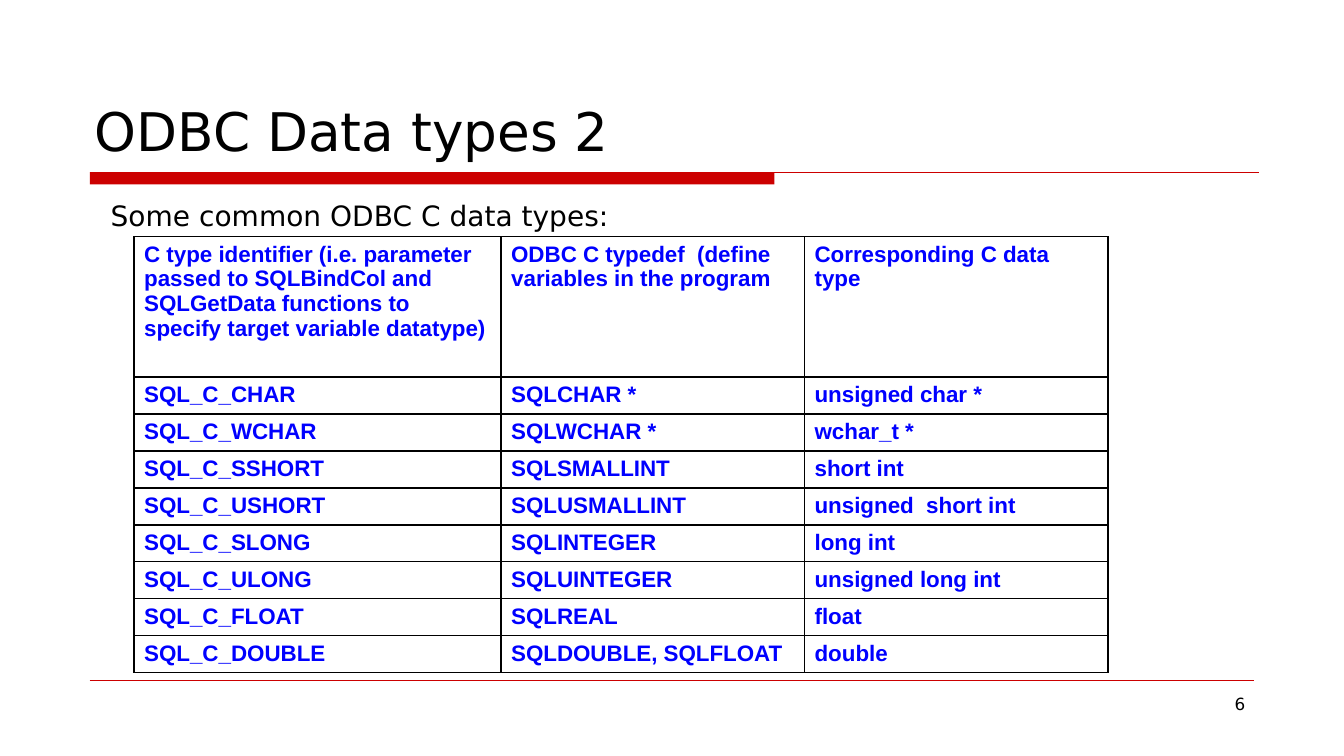
"""Build the slide on ODBC C data types."""
from lxml import etree
from pptx import Presentation
from pptx import util as u
from pptx.dml.color import RGBColor
from pptx.enum import shapes, text
from pptx.oxml import parse_xml
from pptx.oxml.ns import nsdecls, qn

COLORS = {"accent": "CC0000", "ink": "000000", "cell": "0000FF"}
HEADER_HEIGHT, TABLE_HEIGHT = 1.39, 4.32
COLUMN_WIDTHS = (3.64, 3.01, 3.01)
DATA_TYPES = (
    ("C type identifier (i.e. parameter passed to SQLBindCol and SQLGetData "
     "functions to specify target variable datatype)",
     "ODBC C typedef  (define variables in the program",
     "Corresponding C data type"),
    ("SQL_C_CHAR", "SQLCHAR *", "unsigned char *"),
    ("SQL_C_WCHAR", "SQLWCHAR *", "wchar_t *"),
    ("SQL_C_SSHORT", "SQLSMALLINT", "short int"),
    ("SQL_C_USHORT", "SQLUSMALLINT", "unsigned  short int"),
    ("SQL_C_SLONG", "SQLINTEGER", "long int"),
    ("SQL_C_ULONG", "SQLUINTEGER", "unsigned long int"),
    ("SQL_C_FLOAT", "SQLREAL", "float"),
    ("SQL_C_DOUBLE", "SQLDOUBLE, SQLFLOAT", "double"),
)


def color(name):
    return RGBColor.from_string(COLORS[name])


class SlideBuilder:
    """Hold the style and the current slide, and add its elements."""

    font = "DejaVu Sans"
    table_font = "Arial"

    def __init__(self, slide):
        self.slide = slide

    def add_words(self, frame, words, size, align=text.PP_ALIGN.LEFT,
                  font=None, ink="ink", bold=False):
        paragraph = frame.paragraphs[0]
        paragraph.alignment = align
        run = paragraph.add_run()
        run.text = words
        run.font.name = font or self.font
        run.font.size = u.Pt(size)
        run.font.bold = bold
        run.font.color.rgb = color(ink)

    def title(self, words, *box):
        heading = self.slide.shapes.title
        heading.left, heading.top, heading.width, heading.height = map(u.Inches, box)
        heading.text_frame.vertical_anchor = text.MSO_ANCHOR.BOTTOM
        heading.text_frame.auto_size = text.MSO_AUTO_SIZE.NONE
        self.add_words(heading.text_frame, words, 38)

    def label(self, words, size, *box, align=text.PP_ALIGN.LEFT, wrap=True):
        frame = self.slide.shapes.add_textbox(*map(u.Inches, box)).text_frame
        frame.word_wrap = wrap
        self.add_words(frame, words, size, align)

    def bar(self, *box):
        band = self.slide.shapes.add_shape(
            shapes.MSO_SHAPE.RECTANGLE, *map(u.Inches, box))
        band.shadow.inherit = False
        band.fill.solid()
        band.fill.fore_color.rgb = color("accent")
        band.line.fill.background()

    def rule(self, left, right, y, weight):
        stroke = self.slide.shapes.add_connector(
            shapes.MSO_CONNECTOR.STRAIGHT, *map(u.Inches, (left, y, right, y)))
        stroke.line.color.rgb = color("accent")
        stroke.line.width = u.Pt(weight)
        etree.SubElement(stroke._element.spPr, qn("a:effectLst"))

    def border(self, cell):
        properties = cell._tc.get_or_add_tcPr()
        for position, side in enumerate(("lnL", "lnR", "lnT", "lnB")):
            properties.insert(position, parse_xml(
                f'<a:{side} {nsdecls("a")} w="{u.Pt(1)}"><a:solidFill>'
                f'<a:srgbClr val="{COLORS["ink"]}"/></a:solidFill></a:{side}>'))

    def table(self, rows, widths, left, top):
        grid = self.slide.shapes.add_table(
            len(rows), len(widths),
            *map(u.Inches, (left, top, sum(widths), TABLE_HEIGHT))).table
        grid.first_row = grid.horz_banding = False
        for column, width in zip(grid.columns, widths):
            column.width = u.Inches(width)
        body_height = (TABLE_HEIGHT - HEADER_HEIGHT) / (len(rows) - 1)
        for index, (row, entries) in enumerate(zip(grid.rows, rows)):
            row.height = u.Inches(body_height if index else HEADER_HEIGHT)
            for cell, words in zip(row.cells, entries):
                cell.fill.background()
                self.border(cell)
                self.add_words(cell.text_frame, words, 16, font=self.table_font,
                               ink="cell", bold=True)


def main():
    deck = Presentation()
    deck.slide_width, deck.slide_height = u.Inches(13.33), u.Inches(7.5)
    page = SlideBuilder(deck.slides.add_slide(deck.slide_layouts[5]))
    page.bar(0.89, 1.71, 6.79, 0.12)
    page.rule(0.89, 12.49, 1.71, 0.75)
    page.rule(0.89, 12.44, 6.75, 0.25)
    page.label("6", 12, 9.56, 6.83, 2.89, 0.52, align=text.PP_ALIGN.RIGHT)
    page.title("ODBC Data types 2", 0.84, 0.33, 11.67, 1.33)
    page.label("Some common ODBC C data types:", 20, 1, 1.92, 5.24, 0.44, wrap=False)
    page.table(DATA_TYPES, COLUMN_WIDTHS, 1.33, 2.35)
    deck.save("out.pptx")


if __name__ == "__main__":
    main()
